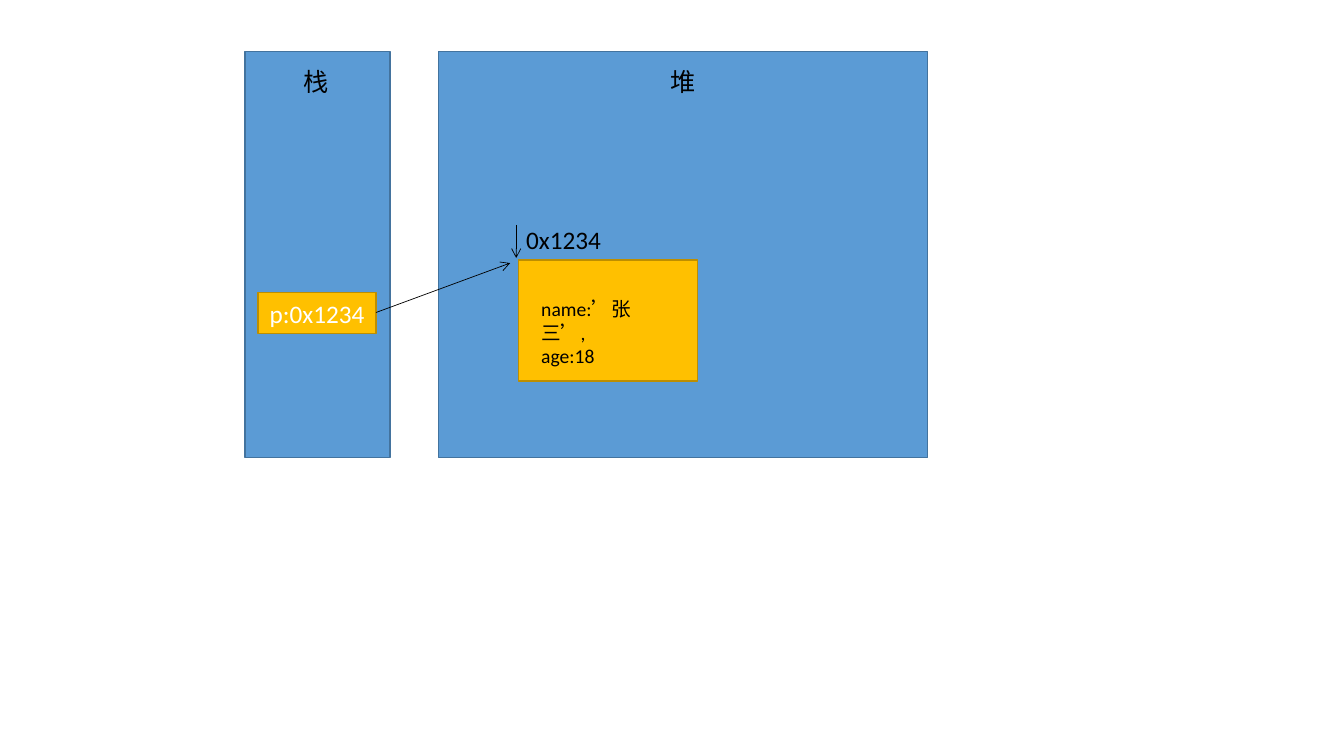
import pptx
import pptx.dml.color
import pptx.enum.lang
import pptx.enum.shapes
import pptx.enum.text
import pptx.oxml.ns
import pptx.util

RGBColor = pptx.dml.color.RGBColor
BLUE = RGBColor(0x5B, 0x9B, 0xD5)
BLUE_EDGE = RGBColor(0x43, 0x73, 0x9E)
GOLD = RGBColor(0xFF, 0xC0, 0x00)
GOLD_EDGE = RGBColor(0xBD, 0x8E, 0x00)
BLACK = RGBColor(0x00, 0x00, 0x00)
WHITE = RGBColor(0xFF, 0xFF, 0xFF)


class MemoryDiagram:
    """Draws memory blocks, labels and pointers on one page."""

    FONT = "Calibri"
    SCALE = 9144

    def __init__(self, page):
        self.page = page

    def px(self, *lengths):
        return [pptx.util.Emu(length * self.SCALE) for length in lengths]

    def set_text(self, frame, text, size, color, align=None):
        frame.word_wrap = True
        frame.text = text
        for para in frame.paragraphs:
            para.alignment = align
            for span in para.runs:
                span.font.name = self.FONT
                span.font.size = pptx.util.Pt(size)
                span.font.color.rgb = color
                span.font.language_id = pptx.enum.lang.MSO_LANGUAGE_ID.SIMPLIFIED_CHINESE

    def block(self, left, top, width, height, fill, edge, text=""):
        box = self.page.shapes.add_shape(
            pptx.enum.shapes.MSO_SHAPE.RECTANGLE, *self.px(left, top, width, height))
        box.shadow.inherit = False
        box.fill.solid()
        box.fill.fore_color.rgb = fill
        box.line.color.rgb = edge
        box.line.width = pptx.util.Pt(1)
        if text:
            box.text_frame.vertical_anchor = pptx.enum.text.MSO_ANCHOR.MIDDLE
            self.set_text(box.text_frame, text, 18, WHITE, pptx.enum.text.PP_ALIGN.CENTER)

    def label(self, left, top, width, height, text, size=18):
        box = self.page.shapes.add_textbox(*self.px(left, top, width, height))
        self.set_text(box.text_frame, text, size, BLACK)
        box.text_frame.auto_size = pptx.enum.text.MSO_AUTO_SIZE.SHAPE_TO_FIT_TEXT

    def arrow(self, x1, y1, x2, y2):
        pointer = self.page.shapes.add_connector(
            pptx.enum.shapes.MSO_CONNECTOR.STRAIGHT, *self.px(x1, y1, x2, y2))
        pointer.line.color.rgb = BLACK
        pointer.line.width = pptx.util.Pt(0.5)
        qn = pptx.oxml.ns.qn
        properties = pointer.element.spPr
        outline = properties.find(qn("a:ln"))
        outline.append(outline.makeelement(qn("a:tailEnd"), {"type": "arrow"}))
        properties.append(properties.makeelement(qn("a:effectLst"), {}))


def main():
    deck = pptx.Presentation()
    deck.slide_width = pptx.util.Inches(13.33)
    deck.slide_height = pptx.util.Inches(7.5)
    diagram = MemoryDiagram(deck.slides.add_slide(deck.slide_layouts[6]))

    for left, width in ((243, 144), (435, 485)):
        diagram.block(left, 51, width, 403, BLUE, BLUE_EDGE)
    for left, name in ((291, "栈"), (655, "堆")):
        diagram.label(left, 61, 47, 40, name)

    diagram.block(256, 290, 117, 41, GOLD, GOLD_EDGE, "p:0x1234")
    diagram.block(514, 258, 178, 120, GOLD, GOLD_EDGE)
    diagram.label(527, 290, 134, 57, "name:’张三’,\nage:18", 14)
    diagram.arrow(512, 223, 512, 256)
    diagram.label(512, 218, 99, 40, "0x1234")
    diagram.arrow(373, 310, 506, 261)

    deck.save("out.pptx")


if __name__ == "__main__":
    main()
